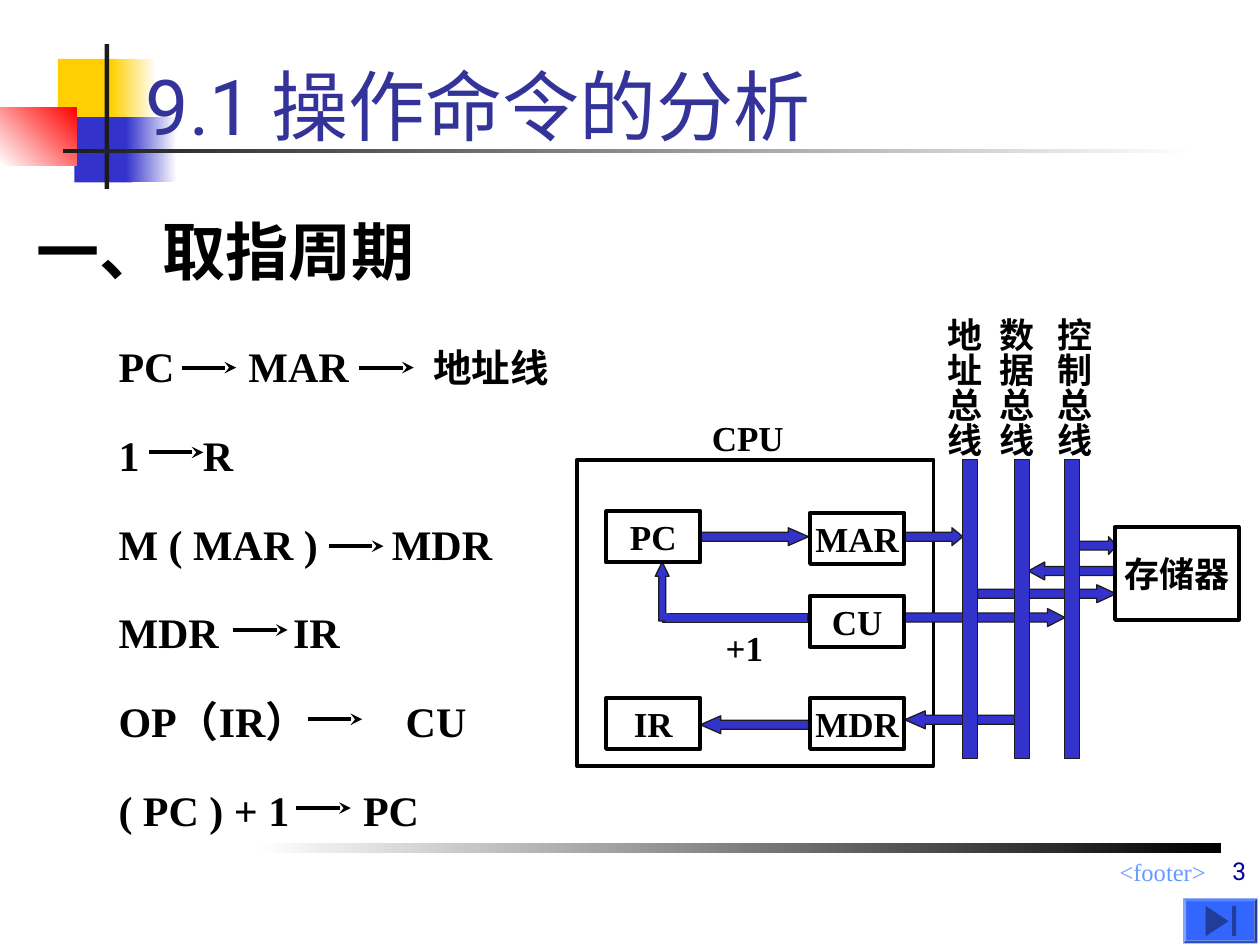
"""Build the slide on the instruction fetch cycle and its CPU data paths."""
from lxml import etree
from pptx import Presentation
from pptx import util as u
from pptx.dml.color import RGBColor
from pptx.enum import shapes, text
from pptx.oxml import ns

HUES = {"gold": "FFCF01", "blue": "3333CC", "red": "FF0000", "dark": "1C1C1C",
        "black": "000000", "white": "FFFFFF", "title": "333399", "foot": "6699FF",
        "page": "000099", "key": "3366FF", "sign": "1F3D99"}
FORM = shapes.MSO_SHAPE
SIDE = text.PP_ALIGN
HOLD = text.MSO_ANCHOR

deck = Presentation()
deck.slide_width, deck.slide_height = u.Cm(25.4), u.Cm(19.05)
slide = deck.slides.add_slide(deck.slide_layouts[1])
tree = slide.shapes


def hue(name):
    return RGBColor.from_string(HUES[name])


def put(words, spot=None, host=None, size=20, font="Times New Roman", tone="black",
        bold=True, side=SIDE.LEFT, hold=HOLD.TOP, pad=(0.25, 0.13), wrap=True,
        tabs=(), tail=None, vert=None):
    if host is None:
        host = tree.add_textbox(*map(u.Cm, spot))
    elif spot:
        host.left, host.top, host.width, host.height = map(u.Cm, spot)
    frame = host.text_frame
    frame.auto_size = text.MSO_AUTO_SIZE.NONE
    frame.word_wrap, frame.vertical_anchor = wrap, hold
    frame.margin_left = frame.margin_right = u.Cm(pad[0])
    frame.margin_top = frame.margin_bottom = u.Cm(pad[1])
    if vert:
        frame._txBody.bodyPr.set("vert", vert)
    para = frame.paragraphs[0]
    para.alignment, para.space_before = side, u.Pt(0)
    props = para._p.get_or_add_pPr()
    if host.is_placeholder:
        props.set("marL", "0")
        props.set("indent", "0")
        etree.SubElement(props, ns.qn("a:buNone"))
    if tabs:
        stops = etree.SubElement(props, ns.qn("a:tabLst"))
        for stop in tabs:
            etree.SubElement(stops, ns.qn("a:tab"), pos=str(u.Cm(stop)), algn="l")
    for part, scale in [(words, size)] + ([tail] if tail else []):
        run = para.add_run()
        run.text = part
        run.font.size, run.font.name, run.font.bold = u.Pt(scale), font, bold
        run.font.color.rgb = hue(tone)


def box(spot, form=FORM.RECTANGLE, fill=None, line=None, width=0.75, turn=0, adj=()):
    item = tree.add_shape(form, *map(u.Cm, spot))
    item.shadow.inherit = False
    item.rotation = turn
    for slot, value in enumerate(adj):
        item.adjustments[slot] = value
    if isinstance(fill, tuple):
        item.fill.gradient()
        item.fill.gradient_angle = fill[2]
        for stop, name in zip(item.fill.gradient_stops, fill):
            stop.color.rgb = hue(name)
    elif fill:
        item.fill.solid()
        item.fill.fore_color.rgb = hue(fill)
    else:
        item.fill.background()
    if line:
        item.line.color.rgb = hue(line)
        item.line.width = u.Pt(width)
    else:
        item.line.fill.background()
    return item


for spot, fill in [
    ((1.17, 1.19, 1.22, 1.32), "gold"),
    ((2.24, 1.19, 0.91, 1.32), ("gold", "white", 0)),
    ((1.5, 2.36, 1.17, 1.32), "blue"),
    ((2.54, 2.36, 1.02, 1.32), ("blue", "white", 0)),
    ((0, 2.16, 1.55, 1.17), ("red", "white", 225)),
    ((2.11, 0.89, 0.09, 2.92), "dark"),
    ((1.27, 3, 22.86, 0.08), ("dark", "white", 0)),
    ((5.13, 16.99, 19.48, 0.2), ("white", "black", 0)),
]:
    box(spot, fill=fill)

head, body = tree.title, slide.placeholders[1]
for item in (head, body):
    tree._spTree.append(item._element)
put("9.1\t操作命令的分析", (2.69, 0.53, 21.59, 3.18), head, size=44, font="Roboto",
    tone="title", bold=False, hold=HOLD.MIDDLE, tabs=[3.7])
put("一、取指周期", (0.74, 4.45, 11.33, 1.19), body, size=36, hold=HOLD.MIDDLE, pad=(0, 0))

steps = [
    ("PC\tMAR\t", [2.62, 6.35], [3.66, 7.24], 0.63, ("地址线", 22)),
    ("1\tR", [1.7], [3], 0.55, None),
    ("M ( MAR )\tMDR", [5.51], [6.63], 0.65, None),
    ("MDR\tIR", [3.52], [4.7], 0.55, None),
    ("OP（IR）\tCU", [5.79], [6.2], 0.56, None),
    ("( PC ) + 1\tPC", [4.93], [5.97], 0.56, None),
]
for row, (words, tabs, starts, drop, tail) in enumerate(steps):
    top = 6.78 + 1.79 * row
    put(words, (2.39, top, 11.99, 1.19), size=24, hold=HOLD.MIDDLE, pad=(0, 0),
        tabs=tabs, tail=tail)
    for left in starts:
        ends = (left, top + drop, left + 1.1, top + drop)
        link = tree.add_connector(shapes.MSO_CONNECTOR.STRAIGHT, *map(u.Cm, ends))
        link.line.color.rgb = hue("black")
        link.line.width = u.Pt(2.25)
        etree.SubElement(link.line._get_or_add_ln(), ns.qn("a:tailEnd"), type="stealth")
        etree.SubElement(link._element.spPr, ns.qn("a:effectLst"))

box((11.63, 9.27, 7.19, 6.17), line="black", width=2.25)
put("CPU", (14.1, 8.26, 1.96, 1.12), wrap=False)
put("+1", (14.38, 12.5, 3.07, 1.12))

box((13.36, 12.37, 2.92, 0.18), fill="blue", line="dark")
box((13.21, 11.33, 0.28, 1.19), FORM.UP_ARROW, "blue", "dark", adj=(0.5, 1.03))
box((13.39, 12.4, 0.13, 0.08), fill="blue", line="blue", turn=90)
for left, top, wide, turn, tip in [
    (14.12, 10.64, 2.18, 0, 1.14),
    (18.24, 10.64, 1.17, 0, 0.61),
    (18.24, 14.33, 2.21, 180, 1.14),
    (18.24, 12.27, 3.23, 0, 0.98),
    (19.71, 11.79, 2.79, 0, 1.08),
    (20.73, 11.33, 1.75, 180, 0.91),
    (21.62, 10.82, 0.89, 0, 0.45),
    (14.12, 14.43, 2.18, 180, 1.14),
]:
    box((left, top, wide, 0.36), FORM.RIGHT_ARROW, "blue", "dark", turn=turn, adj=(0.5, tip))

for words, spot in [
    ("PC", (12.22, 10.31, 1.9, 1.03)),
    ("MAR", (16.33, 10.34, 1.9, 1.03)),
    ("CU", (16.33, 12.01, 1.9, 1.03)),
    ("IR", (12.22, 14.07, 1.9, 1.03)),
    ("MDR", (16.33, 14.07, 1.9, 1.03)),
    ("存储器", (22.48, 10.62, 2.49, 1.88)),
]:
    unit = box(spot, line="black", width=2.25)
    put(words, host=unit, side=SIDE.CENTER, hold=HOLD.MIDDLE, wrap=False)

for words, left, bus in [("地址总线", 18.64, 19.41), ("数据总线", 19.69, 20.45),
                         ("控制总线", 20.85, 21.46)]:
    box((bus, 9.27, 0.3, 6.02), fill="blue", line="dark")
    put(words, (left, 6.15, 1.35, 3.1), pad=(0.13, 0.25), wrap=False, vert="eaVert")

put("<footer>", (9.96, 17.15, 14.6, 0.66), size=14, tone="foot", bold=False, side=SIDE.RIGHT)
put("3", (13.23, 16.71, 12.14, 1.27), size=14, font="Roboto", tone="page", bold=False,
    side=SIDE.RIGHT, hold=HOLD.BOTTOM)

box((23.85, 18.11, 1.5, 0.91), FORM.BEVEL, "key", adj=(0.07,))
box((24.23, 18.34, 0.61, 0.46), FORM.ISOSCELES_TRIANGLE, "sign", turn=90)
box((24.84, 18.26, 0.08, 0.61), fill="sign")

deck.save("out.pptx")
